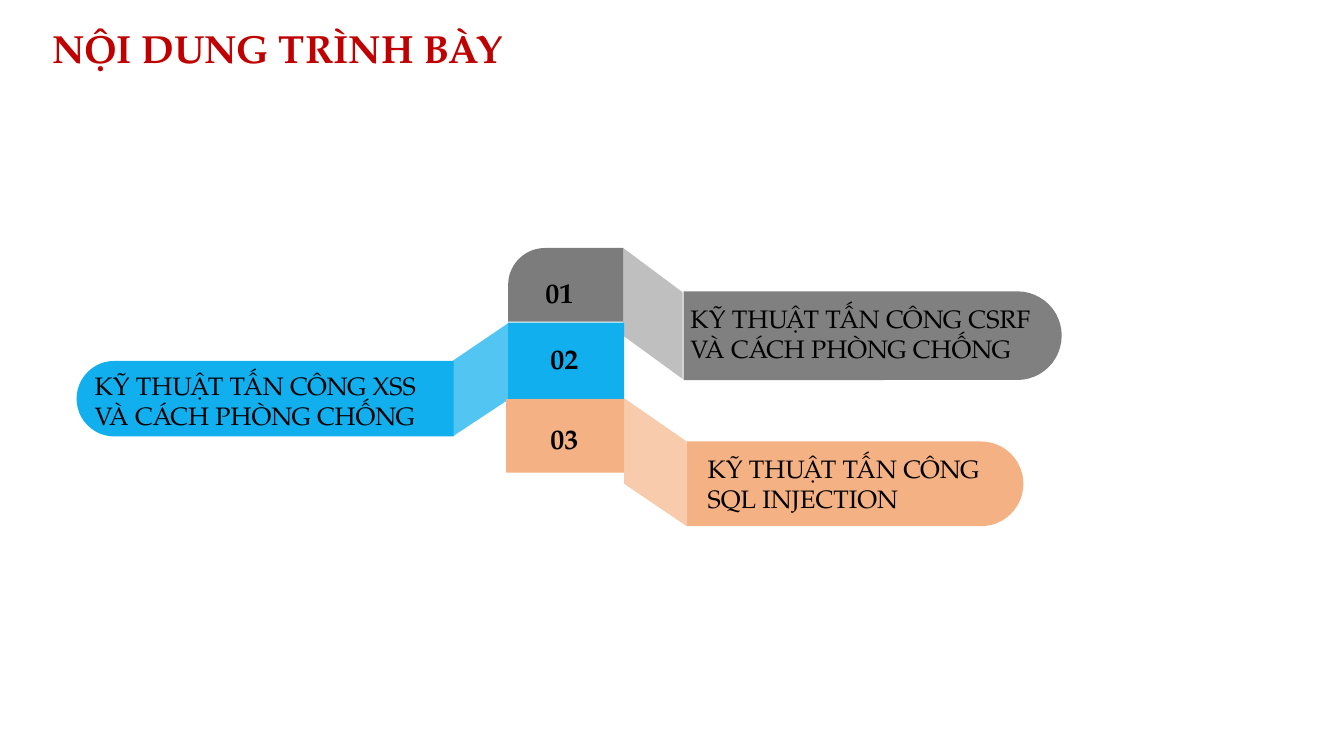
import dataclasses
import typing

import pptx
import pptx.dml.color
import pptx.enum.shapes
import pptx.enum.text
import pptx.util

Inches = pptx.util.Inches
Shapes = pptx.enum.shapes.MSO_SHAPE


@dataclasses.dataclass(frozen=True)
class Theme:
    font: str = "TeX Gyre Pagella"
    title_color: str = "C00000"
    text_color: str = "000000"
    title_size: int = 28
    number_size: int = 20
    topic_size: int = 18
    tile_colors: tuple[str, ...] = ("7C7C7C", "11AFEE", "F4B183")
    pill_colors: tuple[str, ...] = ("808080", "11AFEE", "F4B183")
    ribbon_colors: tuple[str, ...] = ("BFBFBF", "53C5F3", "F8CBAD")


class Area(typing.NamedTuple):
    left: float
    top: float
    width: float
    height: float


@dataclasses.dataclass(frozen=True)
class Topic:
    wording: str
    tile: Area
    pill: Area
    ribbon: list[tuple[float, float]]
    number_area: Area
    wording_area: Area
    opens_left: bool = False
    rounded_tile: bool = False


THEME = Theme()
TOPICS = [
    Topic("KỸ THUẬT TẤN CÔNG CSRF VÀ CÁCH PHÒNG CHỐNG",
          Area(5.04, 2.46, 1.14, 0.73), Area(6.78, 2.89, 3.75, 0.88),
          [(6.18, 2.46), (6.77, 2.9), (6.77, 3.76), (6.18, 3.33)],
          Area(5.31, 2.68, 0.77, 0.44), Area(6.75, 2.96, 3.78, 0.71),
          rounded_tile=True),
    Topic("KỸ THUẬT TẤN CÔNG XSS VÀ CÁCH PHÒNG CHỐNG",
          Area(5.04, 3.2, 1.15, 0.76), Area(0.76, 3.58, 3.74, 0.75),
          [(5.05, 3.2), (4.49, 3.58), (4.49, 4.33), (5.05, 3.96)],
          Area(5.36, 3.34, 0.77, 0.44), Area(0.84, 3.62, 3.67, 0.71),
          opens_left=True),
    Topic("KỸ THUẬT TẤN CÔNG SQL INJECTION",
          Area(5.02, 3.96, 1.17, 0.73), Area(6.81, 4.38, 3.34, 0.84),
          [(6.19, 3.95), (6.81, 4.38), (6.81, 5.22), (6.19, 4.8)],
          Area(5.36, 4.13, 0.77, 0.44), Area(6.92, 4.45, 2.97, 0.71)),
]


def paint(shape, color: str) -> None:
    shape.shadow.inherit = False
    shape.fill.solid()
    shape.fill.fore_color.rgb = pptx.dml.color.RGBColor.from_string(color)
    shape.line.fill.background()


def add_block(page, kind, area: Area, color: str):
    shape = page.shapes.add_shape(kind, *map(Inches, area))
    paint(shape, color)
    return shape


def add_turned_block(page, kind, area: Area, color: str, rotation: int) -> None:
    center_x = area.left + area.width / 2
    center_y = area.top + area.height / 2
    upright = Area(center_x - area.height / 2, center_y - area.width / 2,
                   area.height, area.width)
    shape = add_block(page, kind, upright, color)
    shape.rotation = rotation
    shape.adjustments[0] = 0.5


def add_ribbon(page, corners: list[tuple[float, float]], color: str) -> None:
    points = [(Inches(x), Inches(y)) for x, y in corners]
    builder = page.shapes.build_freeform(*points[0])
    builder.add_line_segments(points[1:], close=True)
    paint(builder.convert_to_shape(), color)


def add_text(page, area: Area, wording: str, size: int,
             color: str = THEME.text_color, bold: bool = False) -> None:
    box = page.shapes.add_textbox(*map(Inches, area))
    frame = box.text_frame
    frame.word_wrap = True
    frame.auto_size = pptx.enum.text.MSO_AUTO_SIZE.SHAPE_TO_FIT_TEXT
    frame.text = wording
    span = frame.paragraphs[0].runs[0]
    span.font.name = THEME.font
    span.font.size = pptx.util.Pt(size)
    span.font.bold = bold
    span.font.color.rgb = pptx.dml.color.RGBColor.from_string(color)


def add_topic(page, topic: Topic, index: int) -> None:
    tile_color = THEME.tile_colors[index]
    add_ribbon(page, topic.ribbon, THEME.ribbon_colors[index])
    add_turned_block(page, Shapes.ROUND_2_SAME_RECTANGLE, topic.pill,
                     THEME.pill_colors[index], 270 if topic.opens_left else 90)
    if topic.rounded_tile:
        add_turned_block(page, Shapes.ROUND_1_RECTANGLE, topic.tile, tile_color, 270)
    else:
        add_block(page, Shapes.RECTANGLE, topic.tile, tile_color)
    add_text(page, topic.number_area, f"{index + 1:02}", THEME.number_size, bold=True)
    add_text(page, topic.wording_area, topic.wording, THEME.topic_size)


deck = pptx.Presentation()
deck.slide_width = Inches(13.33)
deck.slide_height = Inches(7.5)
page = deck.slides.add_slide(deck.slide_layouts[6])
add_text(page, Area(0.42, 0.19, 7.52, 0.57), "NỘI DUNG TRÌNH BÀY",
         THEME.title_size, THEME.title_color, bold=True)
for index, topic in enumerate(TOPICS):
    add_topic(page, topic, index)
deck.save("out.pptx")
